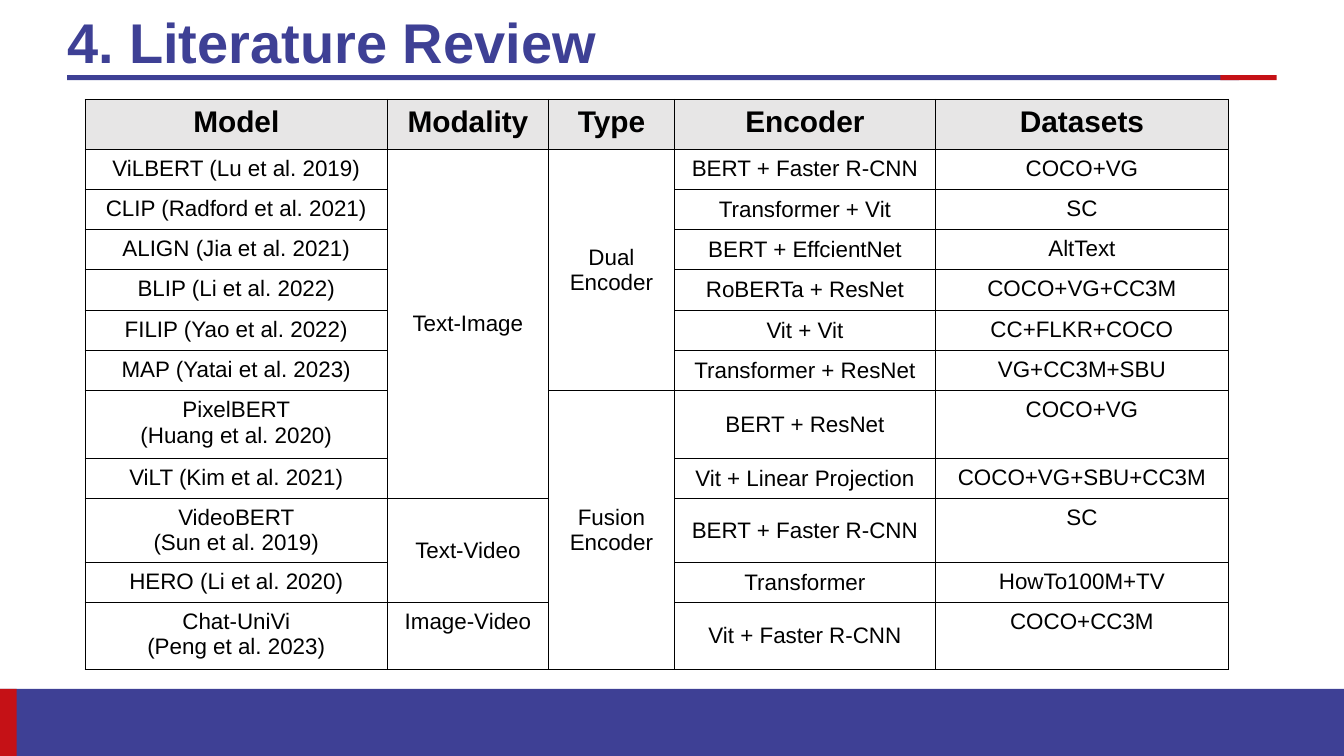
from dataclasses import dataclass

from lxml import etree
from pptx import Presentation
from pptx.dml.color import RGBColor
from pptx.enum.shapes import MSO_SHAPE
from pptx.enum.text import MSO_ANCHOR, MSO_AUTO_SIZE, PP_ALIGN
from pptx.oxml.ns import qn
from pptx.util import Pt

RECTANGLE = MSO_SHAPE.RECTANGLE
TOP, MIDDLE = MSO_ANCHOR.TOP, MSO_ANCHOR.MIDDLE
LEFT, CENTER = PP_ALIGN.LEFT, PP_ALIGN.CENTER
NO_AUTOFIT = MSO_AUTO_SIZE.NONE
TITLE_ONLY = 5


@dataclass(frozen=True)
class Theme:
    font: str = "Arial"
    blue: str = "3E4095"
    red: str = "C51116"
    black: str = "000000"
    white: str = "FFFFFF"
    header_grey: str = "E7E6E6"
    title_size: float = 30
    header_size: float = 16
    body_size: float = 12
    border_width: float = 0.5


THEME = Theme()
SLIDE_WIDTH, SLIDE_HEIGHT = 720, 405

# left, top, width, height, colour
BARS = [
    (36, 40.32, 627.84, 2.7, THEME.blue),
    (653.76, 40.32, 30.24, 2.7, THEME.red),
    (0, 369, SLIDE_WIDTH, 36, THEME.blue),
    (0, 369, 9, 36, THEME.red),
]

TABLE_LEFT, TABLE_TOP = 45.6, 53.2
COLUMN_WIDTHS = [162, 86.2, 67.6, 139.8, 157]
HEADER_HEIGHT, ROW_HEIGHT, TALL_ROW_HEIGHT = 26.6, 21.6, 36
TALL_ROWS = {7, 11}
MODALITY, TYPE, ENCODER = 1, 2, 3

HEADINGS = ["Model", "Modality", "Type", "Encoder", "Datasets"]
# model, encoder, datasets
MODELS = [
    ("ViLBERT (Lu et al. 2019)", "BERT + Faster R-CNN", "COCO+VG"),
    ("CLIP (Radford et al. 2021)", "Transformer + Vit", "SC"),
    ("ALIGN (Jia et al. 2021)", "BERT + EffcientNet", "AltText"),
    ("BLIP (Li et al. 2022)", "RoBERTa + ResNet", "COCO+VG+CC3M"),
    ("FILIP (Yao et al. 2022)", "Vit + Vit", "CC+FLKR+COCO"),
    ("MAP (Yatai et al. 2023)", "Transformer + ResNet", "VG+CC3M+SBU"),
    ("PixelBERT\n(Huang et al. 2020)", "BERT + ResNet", "COCO+VG"),
    ("ViLT (Kim et al. 2021)", "Vit + Linear Projection", "COCO+VG+SBU+CC3M"),
    ("VideoBERT\n(Sun et al. 2019)", "BERT + Faster R-CNN", "SC"),
    ("HERO (Li et al. 2020)", "Transformer", "HowTo100M+TV"),
    ("Chat-UniVi\n(Peng et al. 2023)", "Vit + Faster R-CNN", "COCO+CC3M"),
]
# column, first row, last row, label
GROUPS = [
    (MODALITY, 1, 8, "Text-Image"),
    (MODALITY, 9, 10, "Text-Video"),
    (MODALITY, 11, 11, "Image-Video"),
    (TYPE, 1, 6, "Dual Encoder"),
    (TYPE, 7, 11, "Fusion Encoder"),
]


def write_text(frame, text, size, color, bold=False, align=CENTER):
    frame.text = text
    font_values = {"name": THEME.font, "size": Pt(size), "bold": bold}
    for paragraph in frame.paragraphs:
        paragraph.alignment = align
        for run in paragraph.runs:
            for name, value in font_values.items():
                setattr(run.font, name, value)
            run.font.color.rgb = RGBColor.from_string(color)


def add_title(slide, text):
    title = slide.shapes.title
    place = {"left": 36, "top": 0, "width": 648, "height": 48.24}
    for name, value in place.items():
        setattr(title, name, Pt(value))
    frame = title.text_frame
    for side in ("left", "top", "right", "bottom"):
        setattr(frame, f"margin_{side}", 0)
    frame.auto_size = NO_AUTOFIT
    frame.vertical_anchor = MIDDLE
    write_text(frame, text, THEME.title_size, THEME.blue, bold=True, align=LEFT)
    frame.paragraphs[0].line_spacing = 0.9


def add_bar(slide, left, top, width, height, color):
    bar = slide.shapes.add_shape(RECTANGLE, Pt(left), Pt(top), Pt(width), Pt(height))
    bar.shadow.inherit = False
    bar.fill.solid()
    bar.fill.fore_color.rgb = RGBColor.from_string(color)
    bar.line.fill.background()


def style_cell(cell, fill):
    """Draw the four borders, then the fill that must follow them in the XML."""
    properties = cell._tc.get_or_add_tcPr()
    for edge in ("a:lnL", "a:lnR", "a:lnT", "a:lnB"):
        line = etree.SubElement(properties, qn(edge), w=str(Pt(THEME.border_width)))
        solid = etree.SubElement(line, qn("a:solidFill"))
        etree.SubElement(solid, qn("a:srgbClr"), val=THEME.black)
    cell.fill.solid()
    cell.fill.fore_color.rgb = RGBColor.from_string(fill)


def write_body_cell(cell, text, anchor=TOP):
    write_text(cell.text_frame, text, THEME.body_size, THEME.black)
    cell.vertical_anchor = anchor


def add_model_table(slide):
    heights = [HEADER_HEIGHT] + [
        TALL_ROW_HEIGHT if row in TALL_ROWS else ROW_HEIGHT
        for row in range(1, len(MODELS) + 1)
    ]
    table = slide.shapes.add_table(
        len(heights), len(COLUMN_WIDTHS), Pt(TABLE_LEFT), Pt(TABLE_TOP),
        Pt(sum(COLUMN_WIDTHS)), Pt(sum(heights))).table
    table.first_row = table.horz_banding = False
    for column, width in zip(table.columns, COLUMN_WIDTHS):
        column.width = Pt(width)
    for index, (row, height) in enumerate(zip(table.rows, heights)):
        row.height = Pt(height)
        for cell in row.cells:
            style_cell(cell, THEME.white if index else THEME.header_grey)

    for cell, heading in zip(table.rows[0].cells, HEADINGS):
        write_text(cell.text_frame, heading, THEME.header_size, THEME.black, bold=True)
    for row, (model, encoder, datasets) in enumerate(MODELS, start=1):
        write_body_cell(table.cell(row, 0), model)
        write_body_cell(table.cell(row, ENCODER), encoder, MIDDLE)
        write_body_cell(table.cell(row, ENCODER + 1), datasets)
    for column, first, last, label in GROUPS:
        cell = table.cell(first, column)
        if last > first:
            cell.merge(table.cell(last, column))
        write_body_cell(cell, label, MIDDLE if last > first else TOP)


def main():
    presentation = Presentation()
    presentation.slide_width = Pt(SLIDE_WIDTH)
    presentation.slide_height = Pt(SLIDE_HEIGHT)
    slide = presentation.slides.add_slide(presentation.slide_layouts[TITLE_ONLY])
    for bar in BARS:
        add_bar(slide, *bar)
    add_title(slide, "4. Literature Review")
    add_model_table(slide)
    presentation.save("out.pptx")


if __name__ == "__main__":
    main()
